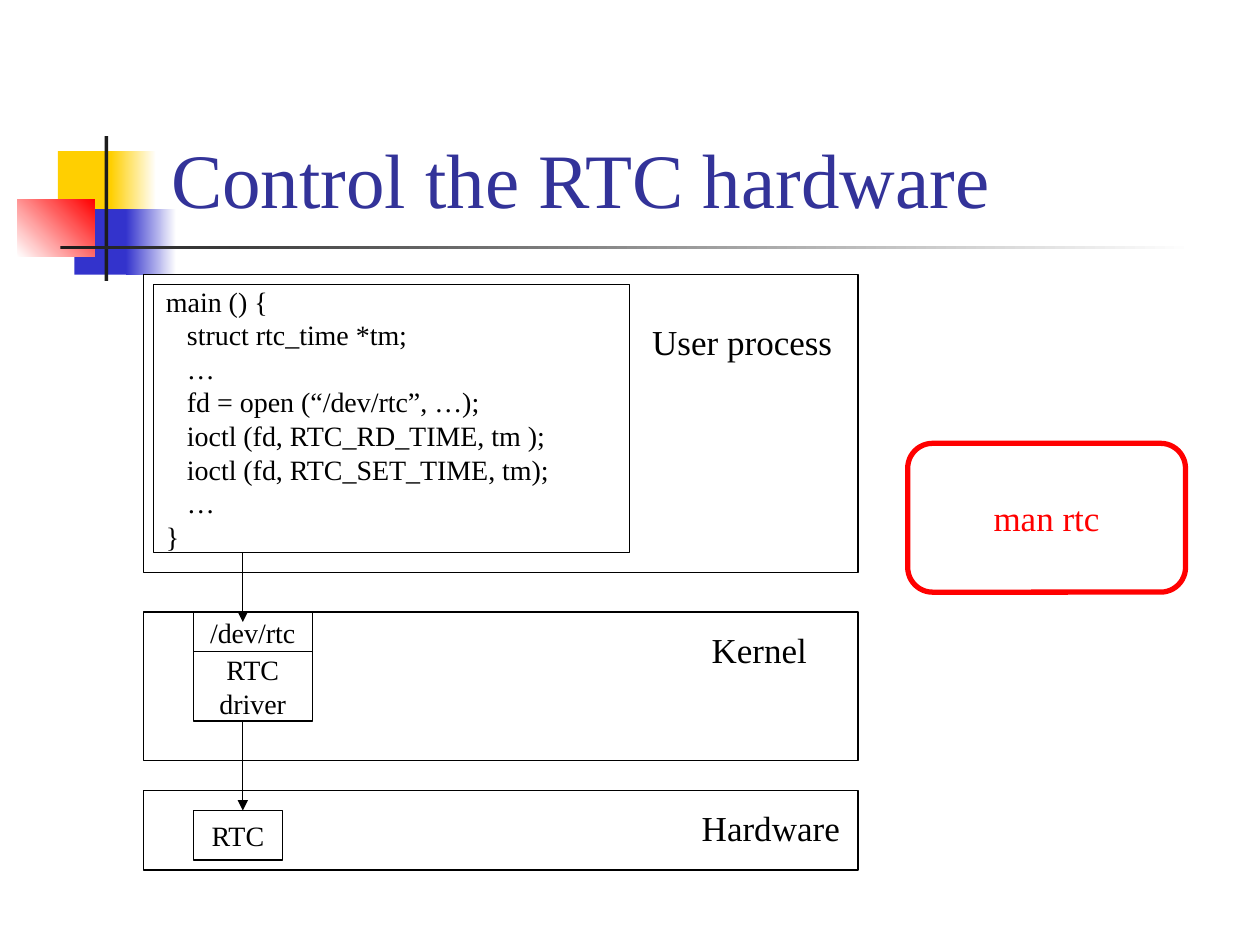
from dataclasses import dataclass

from lxml import etree
from pptx import Presentation
from pptx.dml.color import RGBColor
from pptx.enum.shapes import MSO_CONNECTOR, MSO_SHAPE
from pptx.enum.text import MSO_ANCHOR, PP_ALIGN
from pptx.oxml.ns import qn
from pptx.util import Inches, Pt

RECTANGLE, ROUNDED = MSO_SHAPE.RECTANGLE, MSO_SHAPE.ROUNDED_RECTANGLE
STRAIGHT = MSO_CONNECTOR.STRAIGHT
LEFT, CENTER = PP_ALIGN.LEFT, PP_ALIGN.CENTER
TOP, MIDDLE, BOTTOM = MSO_ANCHOR.TOP, MSO_ANCHOR.MIDDLE, MSO_ANCHOR.BOTTOM

SLIDE_WIDTH, SLIDE_HEIGHT = Inches(10), Inches(7.5)
GRID_LEFT, GRID_TOP = Inches(1.14), Inches(2.18)
GRID_STEP = Inches(5.67) / 72


@dataclass(frozen=True)
class Theme:
    """Colours, font and sizes of the slide."""
    font: str = "Times New Roman"
    ink: str = "000000"
    paper: str = "FFFFFF"
    title: str = "333399"
    accent: str = "FF0000"
    yellow: str = "FFCF01"
    blue: str = "3333CC"
    dark: str = "1C1C1C"
    title_size: int = 44
    label_size: int = 20
    code_size: int = 16
    thin: float = 0.75
    thick: float = 3
    code_indent: int = 12


THEME = Theme()


def color(value):
    """Turn a hex string into a colour."""
    return RGBColor.from_string(value)


def shares(left, top, width, height):
    """Convert percentages of the slide to a frame."""
    return (int(SLIDE_WIDTH * left / 100), int(SLIDE_HEIGHT * top / 100),
            int(SLIDE_WIDTH * width / 100), int(SLIDE_HEIGHT * height / 100))


def grid_point(column, row):
    """Convert a grid position to a point on the slide."""
    return int(GRID_LEFT + column * GRID_STEP), int(GRID_TOP + row * GRID_STEP)


def grid(column, row, columns, rows):
    """Convert grid cells to a frame."""
    return (*grid_point(column, row), int(columns * GRID_STEP), int(rows * GRID_STEP))


def set_attributes(target, values):
    """Apply a dict of format values."""
    for name, value in values.items():
        setattr(target, name, value)


def write_text(shape, lines, size, ink=THEME.ink, align=LEFT, anchor=MIDDLE, wrap=False):
    """Write lines as paragraphs; each line is text or a pair of text and indent."""
    frame = shape.text_frame
    set_attributes(frame, {"word_wrap": wrap, "vertical_anchor": anchor})
    for index, line in enumerate(lines):
        text, indent = line if isinstance(line, tuple) else (line, 0)
        paragraph = frame.add_paragraph() if index else frame.paragraphs[0]
        paragraph.alignment = align
        if indent:
            paragraph._p.get_or_add_pPr().set("marL", str(Pt(indent)))
        run = paragraph.add_run()
        run.text = text
        set_attributes(run.font, {"name": THEME.font, "size": Pt(size)})
        run.font.color.rgb = color(ink)


def add_ornament(slide, frame, start, end=None, angle=0):
    """Add a borderless rectangle, solid or fading from start to end."""
    shape = slide.shapes.add_shape(RECTANGLE, *frame)
    shape.shadow.inherit = False
    shape.line.fill.background()
    if end is None:
        shape.fill.solid()
        shape.fill.fore_color.rgb = color(start)
        return
    shape.fill.gradient()
    shape.fill.gradient_angle = angle
    for stop, value in zip(shape.fill.gradient_stops, (start, end)):
        stop.color.rgb = color(value)


def add_box(slide, frame, kind=RECTANGLE, border=THEME.ink, weight=THEME.thin, fill=None):
    """Add an outlined box."""
    shape = slide.shapes.add_shape(kind, *frame)
    shape.shadow.inherit = False
    shape.line.color.rgb = color(border)
    shape.line.width = Pt(weight)
    if fill:
        shape.fill.solid()
        shape.fill.fore_color.rgb = color(fill)
    else:
        shape.fill.background()
    return shape


def add_text(slide, frame, text, size, **options):
    """Add a text box with one line."""
    write_text(slide.shapes.add_textbox(*frame), [text], size, **options)


def add_arrow(slide, column, start_row, end_row):
    """Add a downward arrow with a triangular head."""
    start, end = grid_point(column, start_row), grid_point(column, end_row)
    arrow = slide.shapes.add_connector(STRAIGHT, *start, *end)
    arrow.line.color.rgb = color(THEME.ink)
    arrow.line.width = Pt(THEME.thin)
    etree.SubElement(arrow.line._get_or_add_ln(), qn("a:tailEnd"), type="triangle")
    etree.SubElement(arrow._element.spPr, qn("a:effectLst"))


def add_heading(slide):
    """Add the ornaments and the title."""
    paper = THEME.paper
    for frame, *fill in (
        ((4.6, 16, 4.8, 6.93), THEME.yellow),
        ((8.8, 16, 3.6, 6.93), THEME.yellow, paper),
        ((5.9, 22.13, 4.6, 6.93), THEME.blue),
        ((10, 22.13, 4, 6.93), THEME.blue, paper),
        ((1.4, 21.07, 6.1, 6.13), paper, THEME.accent, 45),
        ((8.3, 14.4, 0.3, 15.33), THEME.dark),
        ((4.8, 26, 90, 0.4), THEME.dark, paper),
    ):
        add_ornament(slide, shares(*frame), *fill)
    add_text(slide, shares(12.6, 3.07, 85.2, 21.33), "Control the RTC hardware",
             THEME.title_size, ink=THEME.title, anchor=BOTTOM, wrap=True)


def add_layers(slide):
    """Add the three system layers with their labels."""
    for row, rows, label, column, label_row, columns in (
        (0, 30, "User process", 50, 4, 20.7),
        (34, 15, "Kernel", 56, 35, 12.2),
        (52, 8, "Hardware", 55, 53, 16.5),
    ):
        add_box(slide, grid(0, row, 72, rows))
        add_text(slide, grid(column, label_row, columns, 5.5), label,
                 THEME.label_size, anchor=TOP)


def add_parts(slide):
    """Add the code, the driver parts and the arrows between them."""
    body = ("struct rtc_time *tm;", "…", "fd = open (“/dev/rtc”, …);",
            "ioctl (fd, RTC_RD_TIME, tm );", "ioctl (fd, RTC_SET_TIME, tm);", "…")
    code = ["main () {", *((line, THEME.code_indent) for line in body), "}"]
    for frame, lines, align in (
        ((1, 1, 48, 27), code, LEFT),
        ((5, 34, 12, 4), ["/dev/rtc"], CENTER),
        ((5, 38, 12, 7), ["RTC", "driver"], CENTER),
        ((5, 54, 9, 5), ["RTC"], CENTER),
    ):
        write_text(add_box(slide, grid(*frame)), lines, THEME.code_size, align=align)
    for start_row, end_row in ((28, 35), (45, 54)):
        add_arrow(slide, 10, start_row, end_row)


def add_callout(slide):
    """Add the rounded hint box."""
    callout = add_box(slide, grid(77, 17, 28, 15), ROUNDED, THEME.accent,
                      THEME.thick, THEME.paper)
    write_text(callout, ["man rtc"], THEME.label_size, ink=THEME.accent, align=CENTER)


def main():
    """Build and save the slide."""
    presentation = Presentation()
    set_attributes(presentation, {"slide_width": SLIDE_WIDTH, "slide_height": SLIDE_HEIGHT})
    slide = presentation.slides.add_slide(presentation.slide_layouts[6])
    for add_section in (add_heading, add_layers, add_parts, add_callout):
        add_section(slide)
    presentation.save("out.pptx")


main()
